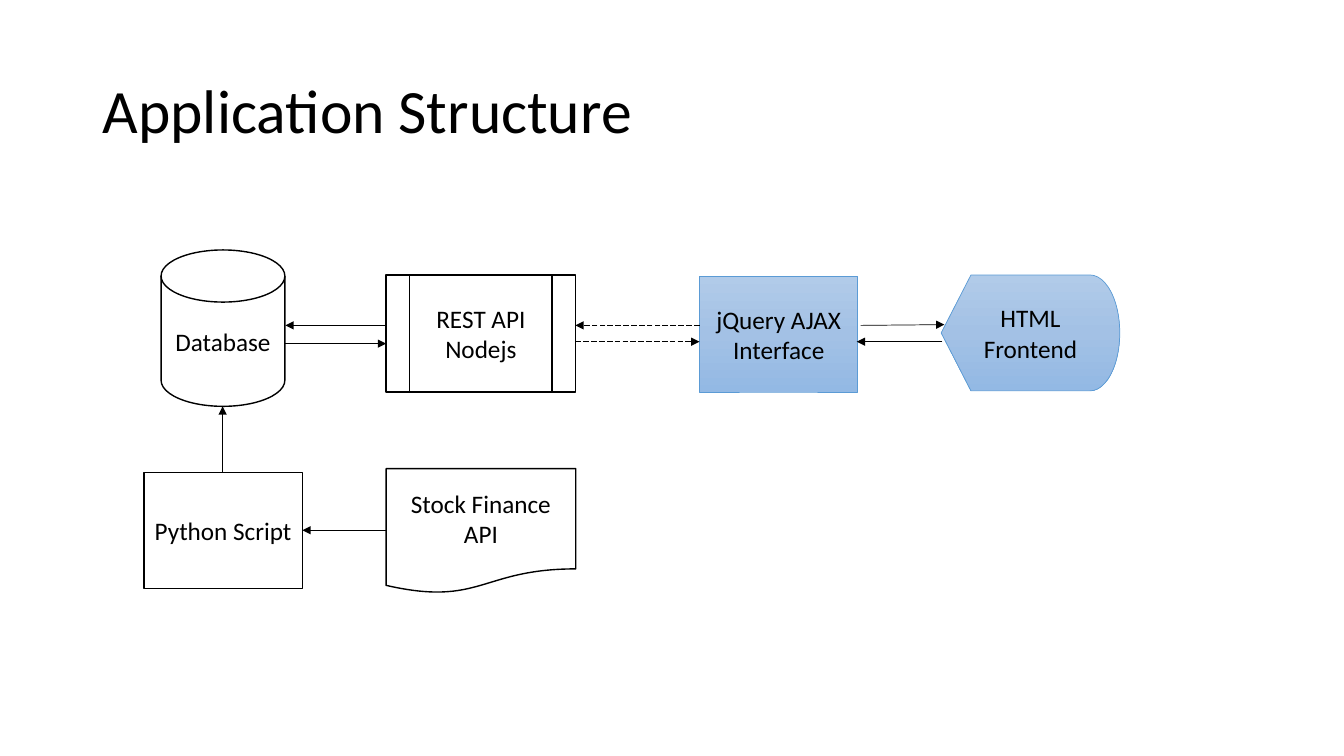
import copy
import dataclasses
import typing

import lxml.etree
import pptx
import pptx.dml.color
import pptx.enum.dml
import pptx.enum.shapes
import pptx.enum.text
import pptx.oxml.ns
import pptx.shapes.autoshape
import pptx.slide
import pptx.text.text
import pptx.util

Cm = pptx.util.Cm
Color = pptx.dml.color.RGBColor
Preset = pptx.enum.shapes.MSO_SHAPE
Align = pptx.enum.text.PP_ALIGN
qn = pptx.oxml.ns.qn


@dataclasses.dataclass(frozen=True)
class Theme:
    font: str = "Calibri"
    title_size: float = 44
    label_size: float = 18
    ink: Color = Color(0, 0, 0)
    paper: Color = Color(255, 255, 255)
    client_line: Color = Color.from_string("5B9BD5")
    client_stops: tuple[str, ...] = ("B1CBE9", "A3C1E5", "93B9E4")
    outline: float = 1
    thin: float = 0.5


@dataclasses.dataclass(frozen=True)
class Component:
    label: str
    preset: Preset
    left: float
    top: float
    width: float
    height: float
    client: bool = False


class Flow(typing.NamedTuple):
    start: tuple[float, float]
    end: tuple[float, float]
    dashed: bool = False


THEME = Theme()

COMPONENTS = (
    Component("Database", Preset.FLOWCHART_MAGNETIC_DISK, 4.06, 6.3, 3.12, 3.94),
    Component("REST API\nNodejs", Preset.FLOWCHART_PREDEFINED_PROCESS, 9.73, 6.93, 4.78, 2.95),
    Component("Stock Finance API", Preset.FLOWCHART_DOCUMENT, 9.73, 11.81, 4.78, 3.15),
    Component("Python Script", Preset.RECTANGLE, 3.63, 11.91, 3.99, 2.92),
    Component("jQuery AJAX Interface", Preset.RECTANGLE, 17.63, 6.96, 3.99, 2.92, True),
    Component("HTML Frontend", Preset.FLOWCHART_DISPLAY, 23.72, 6.93, 4.5, 2.92, True),
)

FLOWS = (
    Flow((7.19, 8.66), (9.73, 8.66)),
    Flow((9.73, 8.2), (7.19, 8.2)),
    Flow((9.73, 13.36), (7.62, 13.36)),
    Flow((5.61, 11.91), (5.61, 10.24)),
    Flow((21.69, 8.2), (23.8, 8.18)),
    Flow((23.75, 8.61), (21.59, 8.61)),
    Flow((17.63, 8.2), (14.5, 8.2), True),
    Flow((14.5, 8.61), (17.63, 8.61), True),
)


def write(frame: pptx.text.text.TextFrame, text: str, size: float, align: Align) -> None:
    frame.word_wrap = True
    frame.vertical_anchor = pptx.enum.text.MSO_ANCHOR.MIDDLE
    para = frame.paragraphs[0]
    para.alignment = align
    for index, line in enumerate(text.split("\n")):
        if index:
            para.add_line_break()
        span = para.add_run()
        span.text = line
        span.font.name = THEME.font
        span.font.size = pptx.util.Pt(size)
        span.font.color.rgb = THEME.ink


def shade(shape: pptx.shapes.autoshape.Shape) -> None:
    shape.fill.gradient()
    shape.fill.gradient_angle = 270
    stop_list = shape.element.spPr.find(qn("a:gradFill")).find(qn("a:gsLst"))
    stop_list.insert(1, copy.deepcopy(stop_list[0]))
    last = len(THEME.client_stops) - 1
    for index, stop in enumerate(shape.fill.gradient_stops):
        stop.position = index / last
        stop.color.rgb = Color.from_string(THEME.client_stops[index])


def add_title(page: pptx.slide.Slide, text: str) -> None:
    box = page.shapes.add_textbox(Cm(2.34), Cm(1.02), Cm(29.21), Cm(3.68))
    write(box.text_frame, text, THEME.title_size, Align.LEFT)
    box.text_frame.paragraphs[0].line_spacing = 0.9


def add_component(page: pptx.slide.Slide, component: Component) -> None:
    shape = page.shapes.add_shape(
        component.preset,
        Cm(component.left),
        Cm(component.top),
        Cm(component.width),
        Cm(component.height),
    )
    shape.shadow.inherit = False
    if component.client:
        shade(shape)
    else:
        shape.fill.solid()
        shape.fill.fore_color.rgb = THEME.paper
    shape.line.color.rgb = THEME.client_line if component.client else THEME.ink
    shape.line.width = pptx.util.Pt(THEME.thin if component.client else THEME.outline)
    write(shape.text_frame, component.label, THEME.label_size, Align.CENTER)


def add_flow(page: pptx.slide.Slide, flow: Flow) -> None:
    arrow = page.shapes.add_connector(
        pptx.enum.shapes.MSO_CONNECTOR.STRAIGHT,
        *map(Cm, flow.start),
        *map(Cm, flow.end),
    )
    arrow.line.color.rgb = THEME.ink
    arrow.line.width = pptx.util.Pt(THEME.thin)
    if flow.dashed:
        arrow.line.dash_style = pptx.enum.dml.MSO_LINE.LONG_DASH
    properties = arrow.element.spPr
    lxml.etree.SubElement(properties.find(qn("a:ln")), qn("a:tailEnd"), type="triangle")
    lxml.etree.SubElement(properties, qn("a:effectLst"))


def main() -> None:
    deck = pptx.Presentation()
    deck.slide_width = Cm(33.87)
    deck.slide_height = Cm(19.05)
    page = deck.slides.add_slide(deck.slide_layouts[6])
    add_title(page, "Application Structure")
    for component in COMPONENTS:
        add_component(page, component)
    for flow in FLOWS:
        add_flow(page, flow)
    deck.save("out.pptx")


main()
